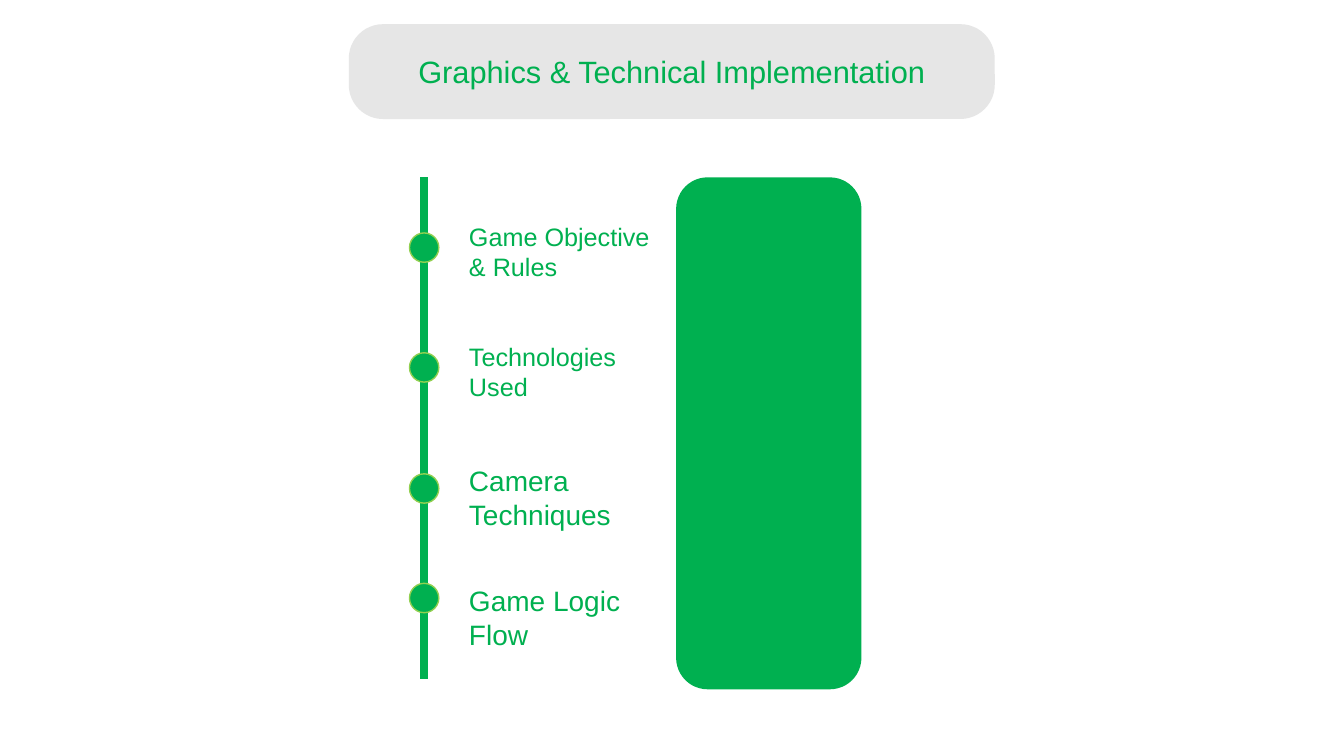
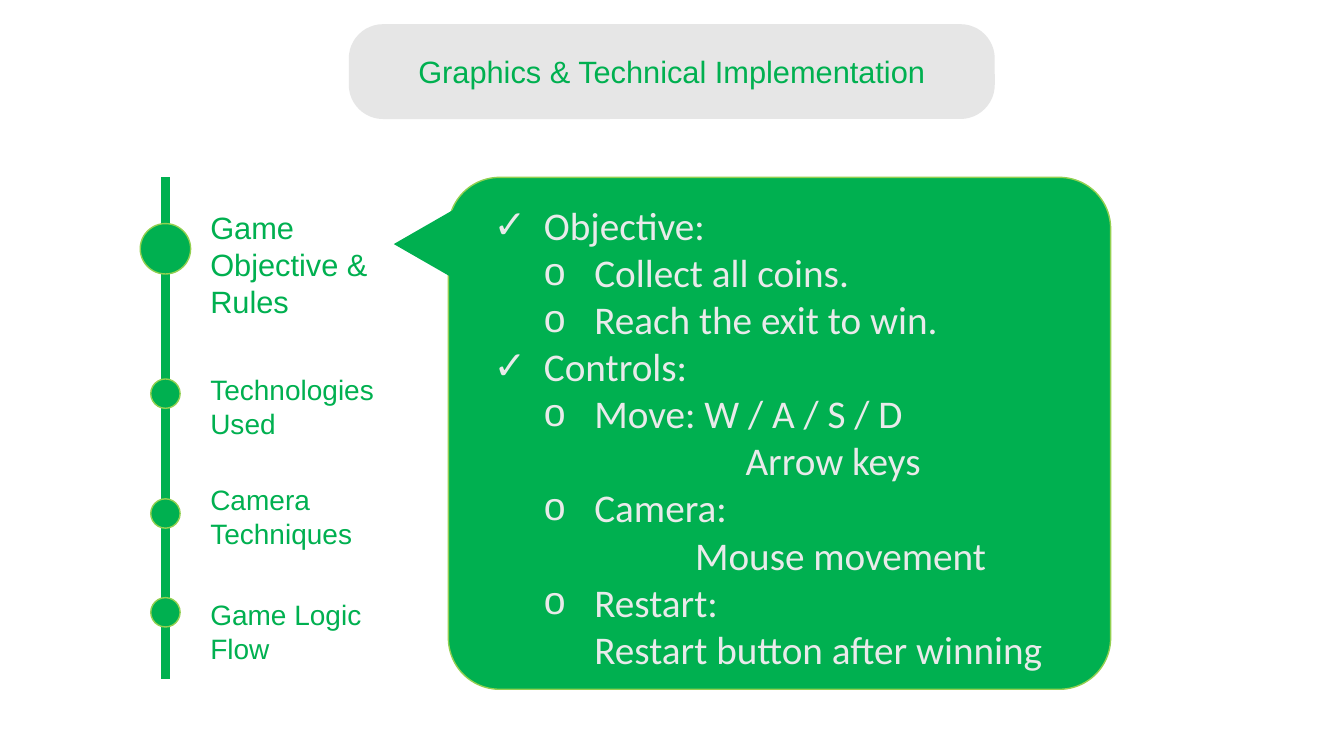
from lxml import etree
from pptx import Presentation
from pptx import util as u
from pptx.dml.color import RGBColor
from pptx.enum import shapes, text
from pptx.oxml import ns

GREEN, LIME, GREY, PALE = "00B050", "92D050", "D9D9D9", "E9EAEA"
SHAPE = shapes.MSO_SHAPE
TITLE = "Graphics & Technical Implementation"
TITLE_AREA = (8.79, 0.61, 16.28, 2.39)
PANEL_TOP, PANEL_HEIGHT = 4.47, 12.9
RAIL_BOTTOM = 17.12
DOT = 0.74
LABEL_GAP, LABEL_WIDTH, LABEL_HEIGHT = 0.88, 5.4, 1.95
INDENT_STEP = 1.27

# Label, dot centre, label top, text size, dot diameter
AGENDA = [
    ("Game Objective & Rules", 6.24, 5.44, 18, DOT),
    ("Technologies Used", 9.26, 8.48, 18, DOT),
    ("Camera Techniques", 12.31, 11.56, 20, DOT),
    ("Game Logic Flow", 15.07, 14.58, 20, DOT),
]
AGENDA_AT_RULES = [
    ("Game Objective & Rules", 6.27, 5.13, 22, 1.27),
    ("Technologies Used", 9.92, 9.27, 20, DOT),
    ("Camera Techniques", 12.94, 12.04, 20, DOT),
    ("Game Logic Flow", 15.43, 14.94, 20, DOT),
]
# Text, level, indent steps, bullet
RULES = [
    ("Objective:", 0, 1, "✓"),
    ("Collect all coins.", 1, 2, "o"),
    ("Reach the exit to win.", 1, 2, "o"),
    ("Controls:", 0, 1, "✓"),
    ("Move: W / A / S / D", 1, 2, "o"),
    ("Arrow keys", 3, 5, None),
    ("Camera:", 1, 2, "o"),
    ("Mouse movement", 2, 4, None),
    ("Restart:", 1, 2, "o"),
    ("Restart button after winning", 2, 2, None),
]


def color(value):
    return RGBColor.from_string(value)


def lengths(*values):
    return [u.Cm(value) for value in values]


def add_child(parent, tag, **attributes):
    return etree.SubElement(parent, ns.qn(tag), attributes)


class Deck:
    """Holds the shared style and the slide being built."""

    def __init__(self):
        self.deck = Presentation()
        self.deck.slide_width, self.deck.slide_height = lengths(33.87, 19.05)
        self.page = None

    def new_page(self, title):
        self.page = self.deck.slides.add_slide(self.deck.slide_layouts[5])
        pill = self.shape(SHAPE.ROUNDED_RECTANGLE, TITLE_AREA, GREY, corner=0.362)
        tint = pill.fill._xPr.find(ns.qn("a:solidFill"))[0]
        add_child(tint, "a:alpha", val="65000")
        box = self.page.shapes.title
        box.left, box.top, box.width, box.height = lengths(*TITLE_AREA)
        frame = box.text_frame
        frame.word_wrap = True
        frame.auto_size = text.MSO_AUTO_SIZE.NONE
        frame.vertical_anchor = text.MSO_ANCHOR.MIDDLE
        para = frame.paragraphs[0]
        para.alignment = text.PP_ALIGN.CENTER
        self.span(para, title, 22)
        self.page.shapes._spTree.append(box._element)  # title in front of its pill

    def shape(self, kind, area, fill, line=None, corner=None):
        item = self.page.shapes.add_shape(kind, *lengths(*area))
        item.shadow.inherit = False
        item.fill.solid()
        item.fill.fore_color.rgb = color(fill)
        if line:
            item.line.color.rgb = color(line)
            item.line.width = u.Pt(1)
        else:
            item.line.fill.background()
        if corner is not None:
            item.adjustments[0] = corner
        return item

    def span(self, para, words, size, font="Arial", ink=GREEN):
        span = para.add_run()
        span.text = words
        span.font.size = u.Pt(size)
        span.font.name = font
        span.font.color.rgb = color(ink)

    def text_frame(self, area):
        frame = self.page.shapes.add_textbox(*lengths(*area)).text_frame
        frame.word_wrap = True
        return frame

    def timeline(self, x, topics):
        rail = self.page.shapes.add_connector(
            shapes.MSO_CONNECTOR.STRAIGHT, *lengths(x, PANEL_TOP, x, RAIL_BOTTOM))
        rail.line.color.rgb = color(GREEN)
        rail.line.width = u.Pt(6)
        add_child(rail._element.spPr, "a:effectLst")
        for label, center, top, size, dot in topics:
            self.shape(SHAPE.OVAL, (x - dot / 2, center - dot / 2, dot, dot), GREEN, LIME)
            frame = self.text_frame((x + LABEL_GAP, top, LABEL_WIDTH, LABEL_HEIGHT))
            self.span(frame.paragraphs[0], label, size)

    def panel(self, left, width, corner, line=None):
        area = (left, PANEL_TOP, width, PANEL_HEIGHT)
        self.shape(SHAPE.ROUNDED_RECTANGLE, area, GREEN, line, corner)

    def outline(self, area, entries):
        frame = self.text_frame(area)
        for number, (words, level, steps, bullet) in enumerate(entries):
            para = frame.add_paragraph() if number else frame.paragraphs[0]
            para.level = level
            props = para._p.get_or_add_pPr()
            props.set("marL", str(u.Cm(steps * INDENT_STEP)))
            props.set("indent", str(u.Cm(-INDENT_STEP if bullet else 0)))
            if bullet:
                add_child(props, "a:buFont", typeface="Arial")
                add_child(props, "a:buChar", char=bullet)
            else:
                add_child(props, "a:buNone")
            self.span(para, words, 28, "Calibri", PALE)


def main():
    show = Deck()

    show.new_page(TITLE)
    show.timeline(10.69, AGENDA)
    show.panel(17.04, 4.67, 0.17)

    show.new_page(TITLE)
    show.timeline(4.17, AGENDA_AT_RULES)
    show.panel(11.3, 16.69, 0.1, LIME)
    pointer = show.shape(SHAPE.ISOSCELES_TRIANGLE, (9.8, 5.31, 1.93, 1.68), GREEN)
    pointer.rotation = 270
    show.outline((12.19, 4.95, 14.45, 12.22), RULES)

    show.deck.save("out.pptx")


if __name__ == "__main__":
    main()
